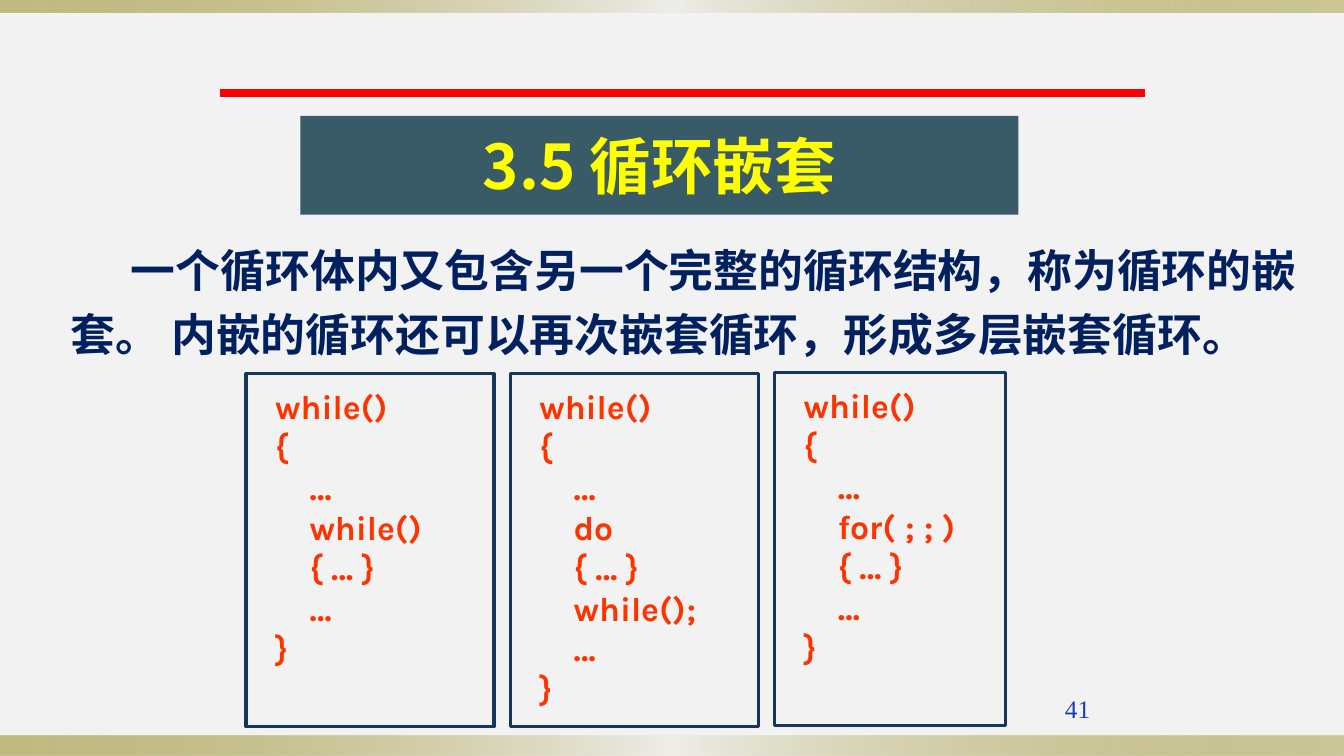
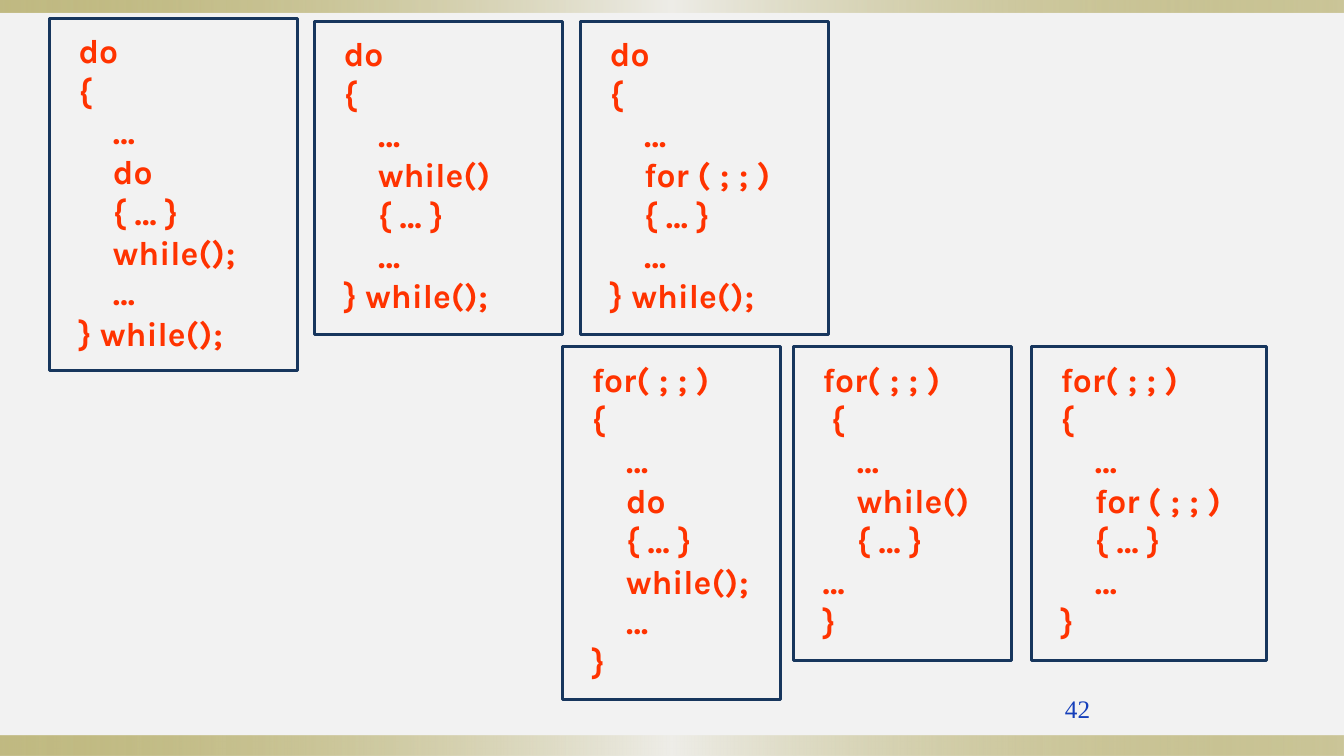
import pptx
import pptx.dml.color
import pptx.enum.shapes
import pptx.enum.text
import pptx.oxml.ns
import pptx.util
from lxml import etree

Inches = pptx.util.Inches
qn = pptx.oxml.ns.qn
KIND = pptx.enum.shapes.MSO_SHAPE
ALIGN = pptx.enum.text.PP_ALIGN
ANCHOR = pptx.enum.text.MSO_ANCHOR

HUES = {
    "page": "F2F2F2", "gold": "918415", "pale": "EEEDE8",
    "slate": "395B68", "title": "FFFF00", "body": "002060",
    "rule": "FF0000", "frame": "17365D", "code": "FF3300", "page_no": "153FBA",
}
HAN = "Noto Sans CJK JP"
BASE, STEP = 0.21, 0.34  # code margin, and what each ">" adds to it


def hue(name):
    return pptx.dml.color.RGBColor.from_string(HUES[name])


def write(shape, lines, color, size, font, bold=True, align=ALIGN.LEFT,
          anchor=ANCHOR.TOP, inset=(0.1, 0.05, 0.1, 0.05), space=None,
          margin=0, first=0):
    frame = shape.text_frame
    frame.word_wrap = True
    frame.vertical_anchor = anchor
    (frame.margin_left, frame.margin_top,
     frame.margin_right, frame.margin_bottom) = map(Inches, inset)
    for i, line in enumerate(lines):
        para = frame.add_paragraph() if i else frame.paragraphs[0]
        text = line.lstrip(">")
        depth = len(line) - len(text)
        para.alignment = align
        if space:
            para.line_spacing = space
        props = para._p.get_or_add_pPr()
        props.set("marL", str(Inches(margin + depth * STEP)))
        props.set("indent", str(Inches(first)))
        run = para.add_run()
        run.text = text
        run.font.name = font
        run.font.size = pptx.util.Pt(size)
        run.font.bold = bold
        run.font.color.rgb = hue(color)
        if font == HAN:
            etree.SubElement(run.font._element, qn("a:ea"), typeface=font)


def block(slide, left, top, width, height, fill=None, line=None):
    shape = slide.shapes.add_shape(
        KIND.RECTANGLE, Inches(left), Inches(top), Inches(width), Inches(height))
    shape.shadow.inherit = False
    if fill:
        shape.fill.solid()
        shape.fill.fore_color.rgb = hue(fill)
    else:
        shape.fill.background()
    if line:
        shape.line.color.rgb = hue(line)
        shape.line.width = pptx.util.Pt(2.25)
    else:
        shape.line.fill.background()
    return shape


deck = pptx.Presentation()
deck.slide_width, deck.slide_height = Inches(13.33), Inches(7.5)
back = deck.slide_master.background.fill
back.solid()
back.fore_color.rgb = hue("page")

# Both slides: gold bands and page number
slides = []
for number in (41, 42):
    slide = deck.slides.add_slide(deck.slide_layouts[6])
    slides.append(slide)
    for top, height in ((7.3, 0.2), (0, 0.12)):
        band = block(slide, 0, top, 13.33, height)
        band.fill.gradient()
        band.fill.gradient_angle = 0
        stops = band.element.spPr.find(".//" + qn("a:gsLst"))
        for stop in list(stops):
            stops.remove(stop)
        for place, name, alpha in ((0, "gold", 50), (50, "pale", 100), (100, "gold", 40)):
            stop = etree.SubElement(stops, qn("a:gs"), pos=str(place * 1000))
            tint = etree.SubElement(stop, qn("a:srgbClr"), val=HUES[name])
            etree.SubElement(tint, qn("a:alpha"), val=str(alpha * 1000))
    box = slide.shapes.add_textbox(Inches(9.42), Inches(6.83), Inches(1.49), Inches(0.5))
    write(box, [str(number)], "page_no", 18, "Times New Roman", bold=False, align=ALIGN.RIGHT)

# Slide 1: title and red rule
title = block(slides[0], 2.98, 1.15, 7.12, 0.98, fill="slate")
write(title, ["3.5 循环嵌套"], "title", 44, HAN, align=ALIGN.CENTER,
      anchor=ANCHOR.MIDDLE, inset=(0, 0.05, 0, 0.05))
rule = slides[0].shapes.add_connector(
    pptx.enum.shapes.MSO_CONNECTOR.STRAIGHT,
    Inches(2.18), Inches(0.92), Inches(11.36), Inches(0.92))
rule.line.color.rgb = hue("rule")
rule.line.width = pptx.util.Pt(5.75)
etree.SubElement(rule.element.spPr, qn("a:effectLst"))

# Slide 1: definition, with a tab stop before the second sentence
body = slides[0].shapes.add_textbox(Inches(0.6), Inches(2.25), Inches(12.52), Inches(1.42))
write(body, ["一个循环体内又包含另一个完整的循环结构，称为循环的嵌套。\t"
             "内嵌的循环还可以再次嵌套循环，形成多层嵌套循环。"],
      "body", 32, HAN, space=1.2, first=0.6)
tabs = etree.SubElement(body.text_frame.paragraphs[0]._p.pPr, qn("a:tabLst"))
etree.SubElement(tabs, qn("a:tab"), pos=str(Inches(1.4)), algn="l")

# Code boxes: slide, left, top, width, height, lines parted by "|"
CODES = (
    (0, 2.44, 3.71, 2.46, 3.5, "while()|{|>…|>while()|>{ … }|>…|}"),
    (0, 5.06, 3.71, 2.46, 3.5, "while()|{|>…|>do|>{ … }|>while();|>…|}"),
    (0, 7.68, 3.7, 2.29, 3.5, "while()|{|>…|>for( ; ; )|>{ … }|>…|}"),
    (1, 0.49, 0.18, 2.46, 3.5, "do|{|>…|>do|>{ … }|>while();|>…|} while();"),
    (1, 3.12, 0.21, 2.46, 3.11, "do|{|>…|>while()|>{ … }|>…|} while();"),
    (1, 5.76, 0.21, 2.46, 3.11, "do|{|>…|>for ( ; ; )|>{ … }|>…|} while();"),
    (1, 5.58, 3.44, 2.16, 3.5, "for( ; ; )|{|>…|>do|>{ … }|>while();|>…|}"),
    (1, 7.87, 3.44, 2.16, 3.11, "for( ; ; )| {|>…|>while()|>{ … }|…|}"),
    (1, 10.23, 3.44, 2.33, 3.11, "for( ; ; )|{|>…|>for ( ; ; )|>{ … }|>…|}"),
)
for index, left, top, width, height, code in CODES:
    box = block(slides[index], left, top, width, height, line="frame")
    write(box, code.split("|"), "code", 24, "Karla",
          inset=(0.08, 0.12, 0.08, 0.16), margin=BASE)

deck.save("out.pptx")
